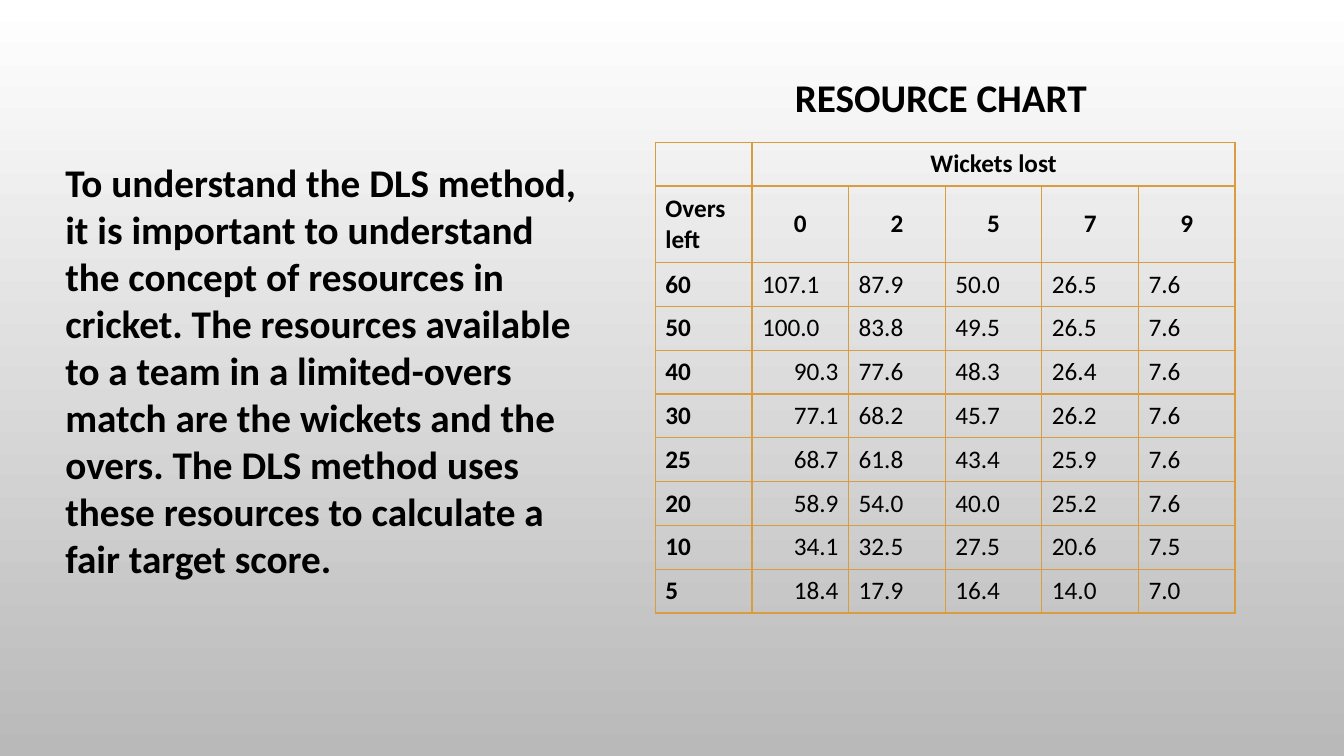
from lxml import etree
from pptx import Presentation
from pptx.dml.color import RGBColor
from pptx.enum.text import MSO_ANCHOR, PP_ALIGN
from pptx.oxml.ns import qn
from pptx.util import Inches, Pt

LEFT, CENTER, RIGHT = PP_ALIGN.LEFT, PP_ALIGN.CENTER, PP_ALIGN.RIGHT
JUSTIFY = PP_ALIGN.JUSTIFY
MIDDLE = MSO_ANCHOR.MIDDLE
FONT = "Calibri"
BLACK = "000000"
BORDER = "D99C3F"
BACKGROUND = ("FFFFFF", "B9B9B9")
BORDER_SIDES = ("a:lnL", "a:lnR", "a:lnT", "a:lnB")

EXPLANATION = (
    "To understand the DLS method, it is important to understand the concept of "
    "resources in cricket. The resources available to a team in a limited-overs "
    "match are the wickets and the overs. The DLS method uses these resources to "
    "calculate a fair target score."
)
RESOURCES = [
    ["", "Wickets lost", "", "", "", ""],
    ["Overs left", "0", "2", "5", "7", "9"],
    ["60", "107.1", "87.9", "50.0", "26.5", "7.6"],
    ["50", "100.0", "83.8", "49.5", "26.5", "7.6"],
    ["40", "90.3", "77.6", "48.3", "26.4", "7.6"],
    ["30", "77.1", "68.2", "45.7", "26.2", "7.6"],
    ["25", "68.7", "61.8", "43.4", "25.9", "7.6"],
    ["20", "58.9", "54.0", "40.0", "25.2", "7.6"],
    ["10", "34.1", "32.5", "27.5", "20.6", "7.5"],
    ["5", "18.4", "17.9", "16.4", "14.0", "7.0"],
]
HEADER_ROWS = 2
FIRST_RIGHT_ROW = 4
JUSTIFIED_CELL = (6, 3)
ROW_HEIGHT, OVERS_ROW_HEIGHT = 0.435, 0.76


def color(hex_value):
    return RGBColor.from_string(hex_value)


def style_paragraph(paragraph, size, bold, alignment):
    paragraph.alignment = alignment
    font = paragraph.font
    font.name, font.size, font.bold = FONT, Pt(size), bold
    font.color.rgb = color(BLACK)


def paint_background(slide):
    fill = slide.background.fill
    fill.gradient()
    fill.gradient_angle = 270
    for stop, hex_value in zip(fill.gradient_stops, BACKGROUND):
        stop.color.rgb = color(hex_value)


def add_text(slide, box, text, alignment):
    frame = slide.shapes.add_textbox(*map(Inches, box)).text_frame
    frame.word_wrap = True
    paragraph = frame.paragraphs[0]
    paragraph.text = text
    style_paragraph(paragraph, 28, True, alignment)


def outline_cell(cell):
    properties = cell._tc.get_or_add_tcPr()
    for index, side in enumerate(BORDER_SIDES):
        line = etree.Element(qn(side), w=str(Pt(1)))
        fill = etree.SubElement(line, qn("a:solidFill"))
        etree.SubElement(fill, qn("a:srgbClr"), val=BORDER)
        properties.insert(index, line)


def cell_alignment(row, column):
    if (row, column) == JUSTIFIED_CELL:
        return JUSTIFY
    if row < HEADER_ROWS and column > 0:
        return CENTER
    if row >= FIRST_RIGHT_ROW and column == 1:
        return RIGHT
    return LEFT


def add_resource_table(slide, box):
    row_count, column_count = len(RESOURCES), len(RESOURCES[0])
    table = slide.shapes.add_table(row_count, column_count, *map(Inches, box)).table
    table.first_row = table.horz_banding = False
    for row in table.rows:
        row.height = Inches(ROW_HEIGHT)
    table.rows[1].height = Inches(OVERS_ROW_HEIGHT)
    table.cell(0, 1).merge(table.cell(0, column_count - 1))
    for row, values in enumerate(RESOURCES):
        for column, value in enumerate(values):
            cell = table.cell(row, column)
            cell.fill.background()
            cell.vertical_anchor = MIDDLE
            outline_cell(cell)
            paragraph = cell.text_frame.paragraphs[0]
            paragraph.text = value
            bold = row < HEADER_ROWS or column == 0
            style_paragraph(paragraph, 18, bold, cell_alignment(row, column))


def main():
    presentation = Presentation()
    presentation.slide_width = Inches(13.33)
    presentation.slide_height = Inches(7.5)
    slide = presentation.slides.add_slide(presentation.slide_layouts[6])
    paint_background(slide)
    add_resource_table(slide, (6.5, 1.41, 5.75, 4.67))
    add_text(slide, (0.55, 1.52, 5.45, 4.81), EXPLANATION, LEFT)
    add_text(slide, (6.97, 0.68, 4.72, 0.57), "RESOURCE CHART", CENTER)
    presentation.save("out.pptx")


if __name__ == "__main__":
    main()
